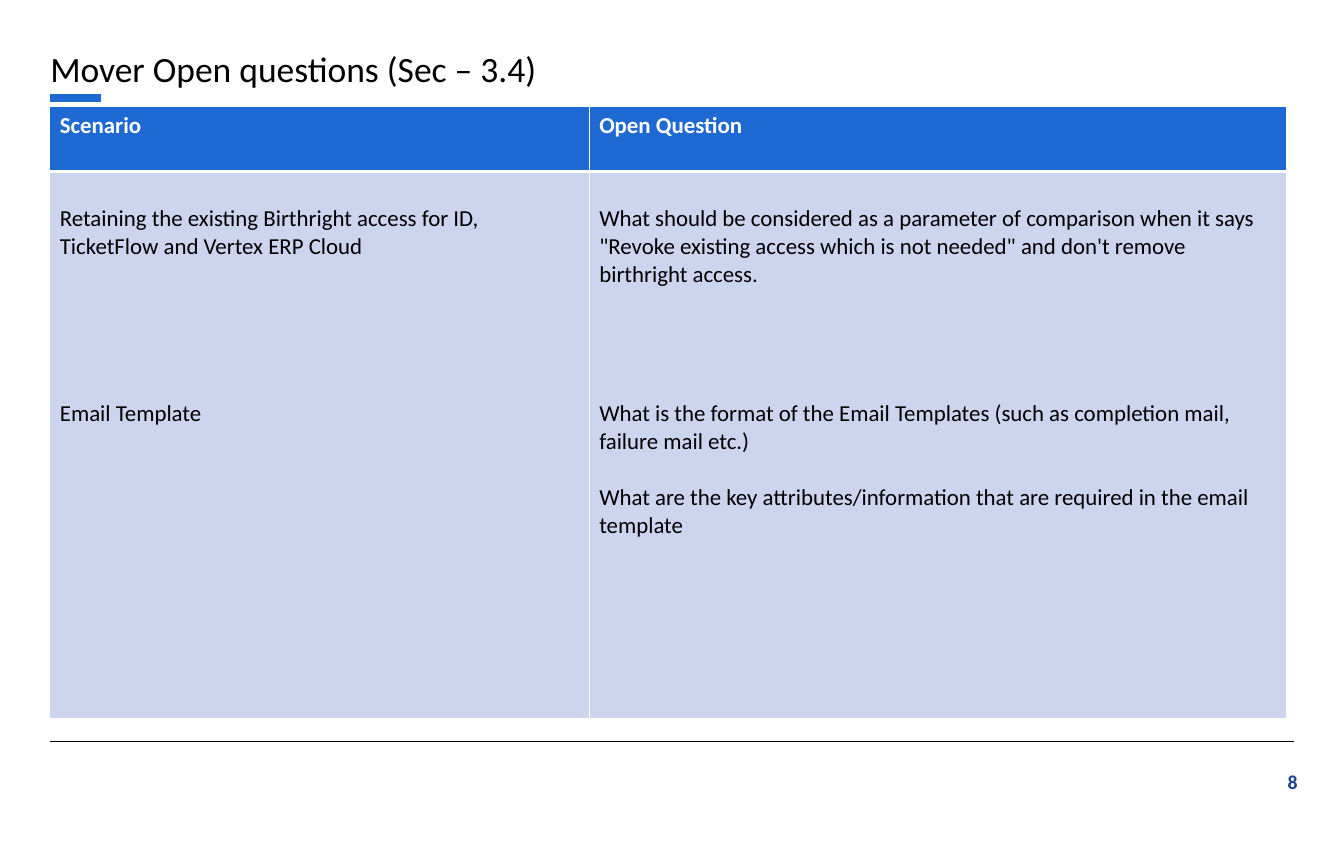
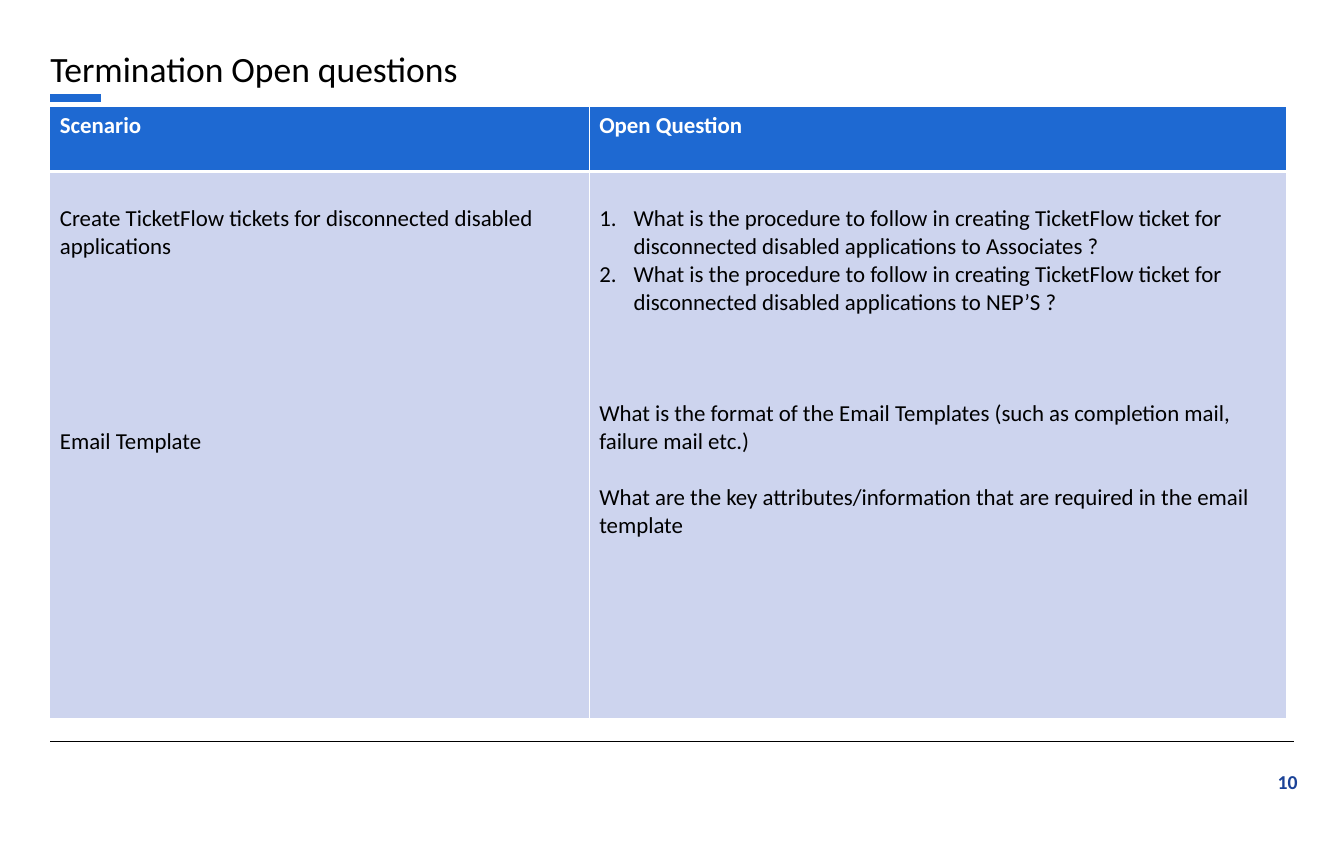
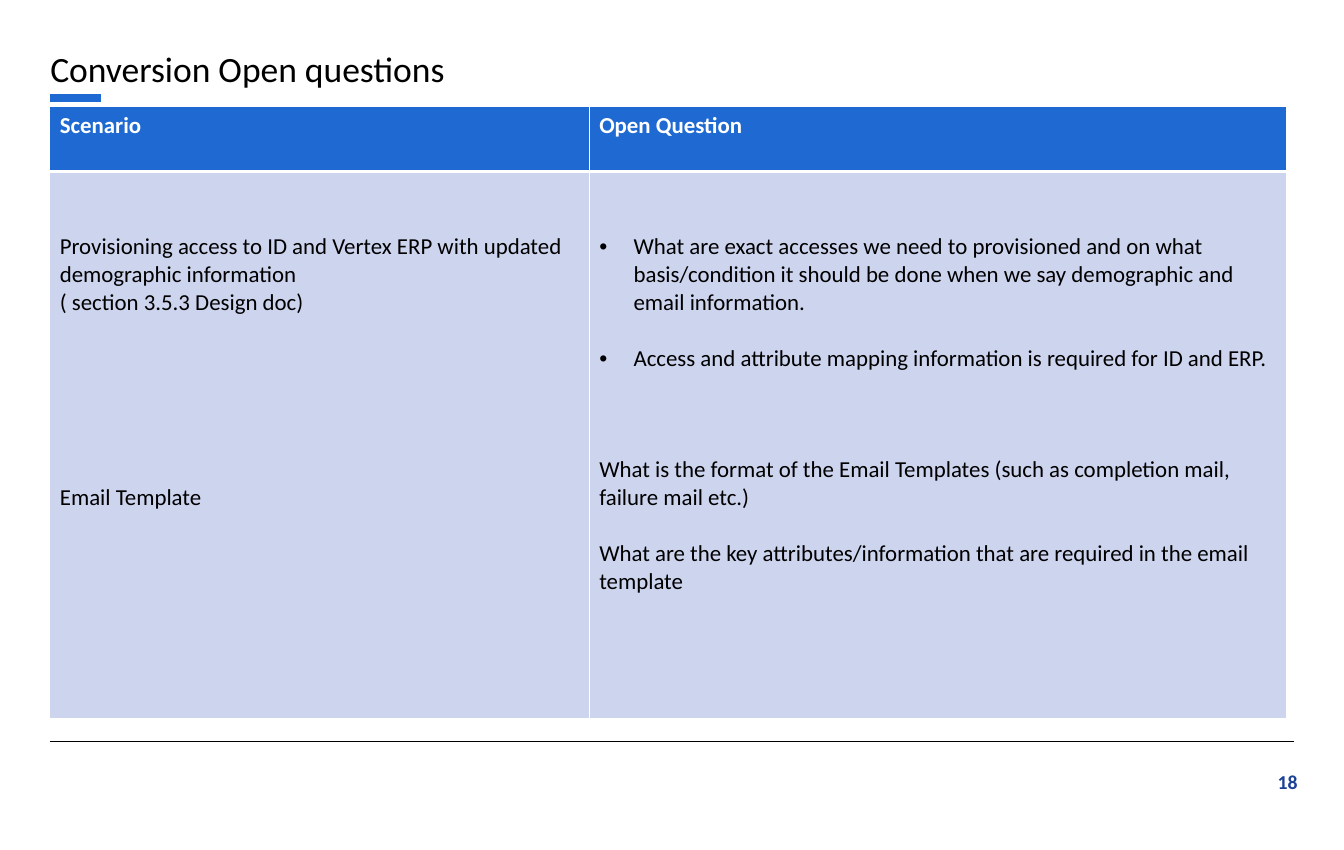
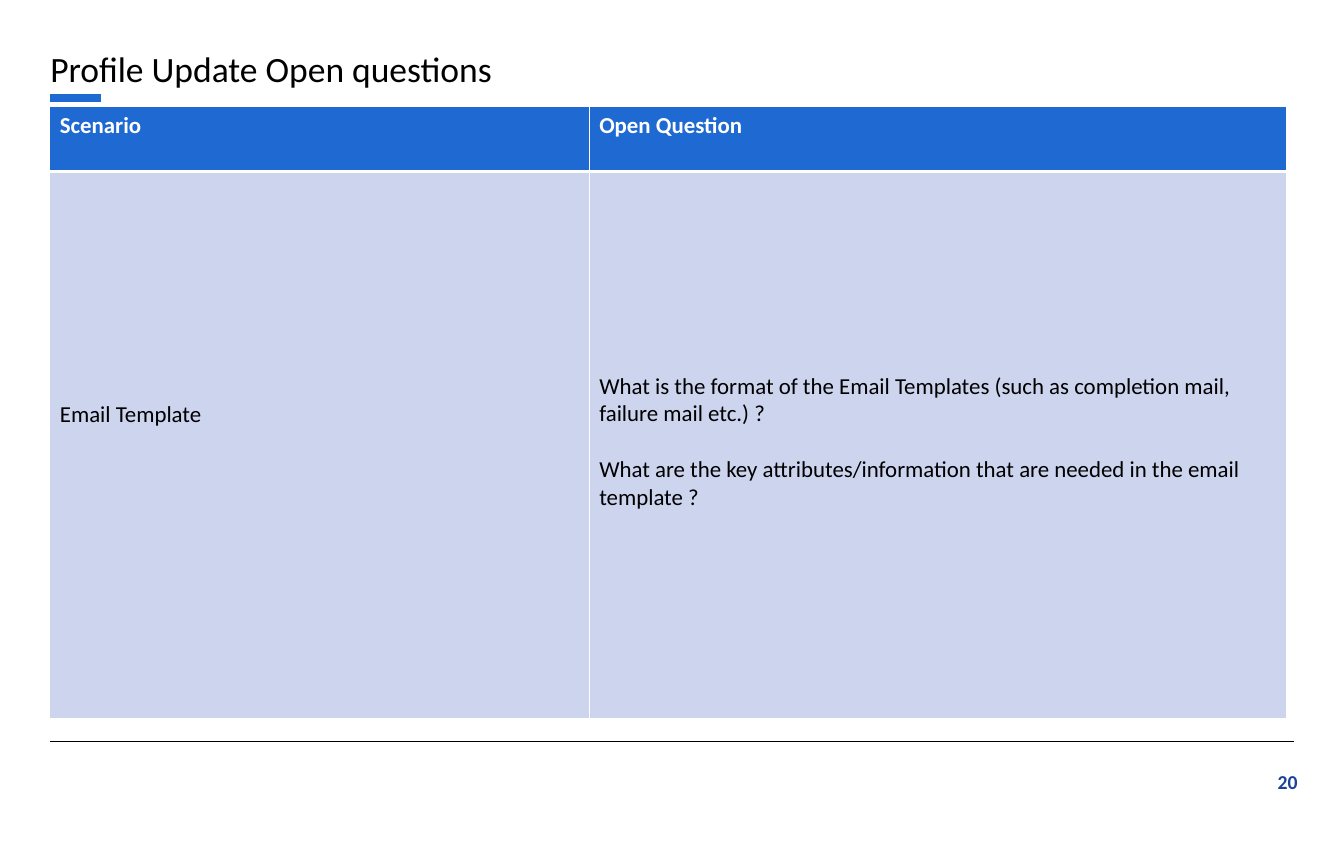
from lxml import etree
from pptx import Presentation
from pptx import util as u
from pptx.dml.color import RGBColor
from pptx.enum import shapes, text
from pptx.oxml import ns

WIDE, HIGH = u.Inches(14.7), u.Inches(9.3)
COLS, ROWS = 147, 93
FONT = "Calibri"
SIZE = 18
LINE = 22
INK = {
    "text": "000000",
    "head": "1E69D2",
    "body": "CDD4EE",
    "page": "1B4297",
    "white": "FFFFFF",
}
HEADS = ("Scenario", "Open Question")
MAIL = "Email Template"
FORM = "What is the format of the Email Templates (such as completion mail, failure mail etc.)"
KEYS = "What are the key attributes/information that are required in the email template"
TICKET = "What is the procedure to follow in creating TicketFlow ticket for disconnected disabled applications to "

DECK = [
    (
        "Mover Open questions (Sec – 3.4)", "8",
        [
            (1, "Retaining the existing Birthright access for\u00a0ID, TicketFlow and Vertex ERP Cloud"),
            (5, MAIL),
        ],
        [
            (1, "What should be considered as a parameter of comparison when it says "
                "\"Revoke existing access which is not needed\" and don't remove birthright access."),
            (4, FORM),
            (1, KEYS),
        ],
    ),
    (
        "Termination Open questions", "10",
        [
            (1, "Create TicketFlow tickets for disconnected disabled applications"),
            (6, MAIL),
        ],
        [
            (1, TICKET + "Associates ?", "num"),
            (0, TICKET + "NEP’S ?", "num"),
            (3, FORM),
            (1, KEYS),
        ],
    ),
    (
        "Conversion Open questions", "18",
        [
            (2, "Provisioning access to ID and Vertex ERP with updated demographic information"),
            (0, "( section 3.5.3 Design doc)"),
            (6, MAIL),
        ],
        [
            (2, "What are exact accesses we need to provisioned and on what basis/condition "
                "it should be done when we say demographic and email information.", "dot"),
            (1, "Access and attribute mapping information is required for ID and ERP.", "dot"),
            (3, FORM),
            (1, KEYS),
        ],
    ),
    (
        "Profile Update Open questions", "20",
        [(8, MAIL)],
        [
            (7, FORM + " ?"),
            (1, "What are the key attributes/information that are needed in the email template ?"),
        ],
    ),
]


def col(n):
    return round(WIDE * n / COLS)


def row(n):
    return round(HIGH * n / ROWS)


def tint(name):
    return RGBColor.from_string(INK[name])


def write(para, words, size, ink, bold=False):
    run = para.add_run()
    run.text = words
    font = run.font
    font.name, font.size, font.bold = FONT, u.Pt(size), bold
    font.color.rgb = tint(ink)


def label(slide, box, words, size, ink, bold=False, align=text.PP_ALIGN.LEFT, inset=1):
    x, y, w, h = box
    frame = slide.shapes.add_textbox(col(x), row(y), col(w), row(h)).text_frame
    frame.word_wrap = True
    frame.margin_left = frame.margin_right = col(inset)
    frame.margin_top = frame.margin_bottom = row(inset / 2)
    para = frame.paragraphs[0]
    para.alignment = align
    write(para, words, size, ink, bold)
    return para


def rule(slide, start, end, y, ink, width):
    line = slide.shapes.add_connector(
        shapes.MSO_CONNECTOR.STRAIGHT, col(start), row(y), col(end), row(y))
    line.line.color.rgb = tint(ink)
    line.line.width = u.Pt(width)
    etree.SubElement(line._element.spPr, ns.qn("a:effectLst"))


def mark(para, kind):
    props = para._p.get_or_add_pPr()
    props.set("marL", str(col(3.75)))
    props.set("indent", str(-col(3.75)))
    if kind == "num":
        etree.SubElement(props, ns.qn("a:buAutoNum"), type="arabicPeriod")
    else:
        etree.SubElement(props, ns.qn("a:buFont"), typeface="Arial")
        etree.SubElement(props, ns.qn("a:buChar"), char="•")


def edge(cell, top, low):
    props = cell._tc.get_or_add_tcPr()
    for side, width in (("L", 1), ("R", 1), ("T", top), ("B", low)):
        line = etree.SubElement(props, ns.qn("a:ln" + side), w=str(u.Pt(width)))
        fill = etree.SubElement(line, ns.qn("a:solidFill"))
        etree.SubElement(fill, ns.qn("a:srgbClr"), val=INK["white"])


def fill(cell, items, ground, ink, bold, top, low):
    edge(cell, top, low)
    cell.fill.solid()
    cell.fill.fore_color.rgb = tint(ground)
    cell.margin_left = cell.margin_right = col(1.1)
    cell.margin_top = row(0.6) + u.Pt(LINE * items[0][0])
    cell.margin_bottom = row(0.6)
    frame = cell.text_frame
    for i, (gap, words, *kind) in enumerate(items):
        para = frame.add_paragraph() if i else frame.paragraphs[0]
        if i and gap:
            para.space_before = u.Pt(LINE * gap)
        if kind:
            mark(para, kind[0])
        write(para, words, SIZE, ink, bold)


def grid(slide, cells):
    wides, highs = (59, 76.25), (7.1, 59.9)
    table = slide.shapes.add_table(
        2, 2, col(5.45), row(11.65), col(sum(wides)), row(sum(highs))).table
    for i in range(2):
        table.columns[i].width = col(wides[i])
        table.rows[i].height = row(highs[i])
        fill(table.cell(0, i), [(0, HEADS[i])], "head", "white", True, 1, 3)
        fill(table.cell(1, i), cells[i], "body", "text", False, 3, 1)


def base(slide, title, page):
    rule(slide, 5.5, 141.5, 81.1, "text", 0.75)
    label(slide, (134.8, 83.7, 8.1, 3.6), page, 15.5, "page", True, text.PP_ALIGN.RIGHT)
    rule(slide, 5.5, 11, 10.75, "head", 6)
    para = label(slide, (4.4, 5.1, 79.6, 7.7), title, 28, "text", inset=1.1)
    para.line_spacing = 0.9


def main():
    deck = Presentation()
    deck.slide_width, deck.slide_height = WIDE, HIGH
    for title, page, *cells in DECK:
        slide = deck.slides.add_slide(deck.slide_layouts[6])
        base(slide, title, page)
        grid(slide, cells)
    deck.save("out.pptx")


if __name__ == "__main__":
    main()
